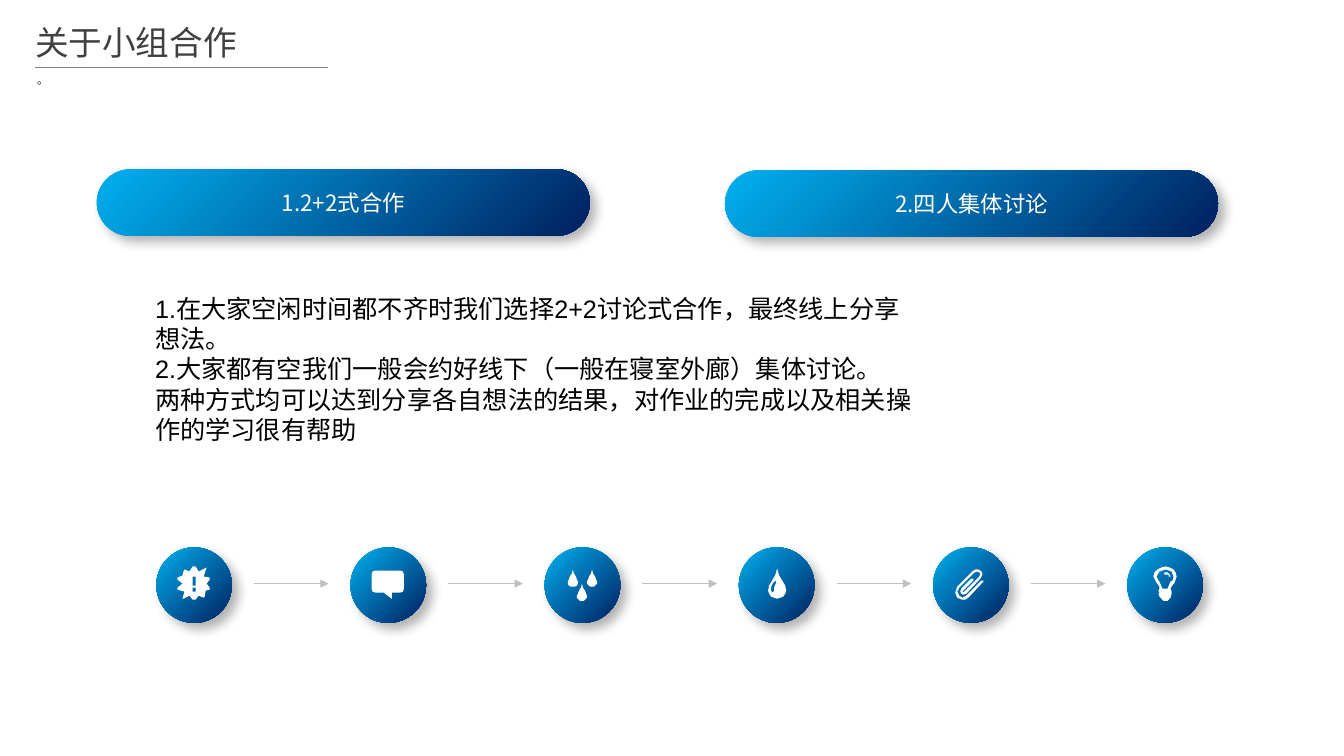
import lxml.etree
import pptx
import pptx.dml.color
import pptx.enum.shapes
import pptx.enum.text
import pptx.oxml.ns
import pptx.util

Inches, Pt = pptx.util.Inches, pptx.util.Pt
Preset = pptx.enum.shapes.MSO_SHAPE
Anchor = pptx.enum.text.MSO_ANCHOR
Align = pptx.enum.text.PP_ALIGN
qn = pptx.oxml.ns.qn

SANS = "Noto Sans CJK SC"
BODY = (
    "1.在大家空闲时间都不齐时我们选择2+2讨论式合作，最终线上分享想法。",
    "2.大家都有空我们一般会约好线下（一般在寝室外廊）集体讨论。",
    "两种方式均可以达到分享各自想法的结果，对作业的完成以及相关操作的学习很有帮助",
)


def drop(left, top, width, height):
    """Outline of a water drop with its tip at the top."""
    half = [(0.5, 0), (0.38, 0.23), (0.21, 0.4), (0.06, 0.56), (0, 0.73),
            (0.04, 0.83), (0.15, 0.92), (0.31, 0.98), (0.5, 1)]
    ring = half + [(1 - x, y) for x, y in half[-2:0:-1]]
    return [(left + x * width, top + y * height) for x, y in ring]


# Icon outlines, in hundredths of an inch from the corner of their disc
BURST = [
    [(53, 40), (50, 36), (53, 32), (53, 30), (47, 29), (50, 20), (48, 21),
     (42, 24), (39, 19), (36, 19), (33, 24), (28, 22), (27, 24), (26, 28),
     (21, 30), (21, 32), (26, 36), (21, 40), (21, 42), (28, 44), (26, 51),
     (27, 51), (33, 48), (36, 52), (39, 52), (42, 48), (47, 50), (48, 49),
     (49, 43), (53, 42)],
    [(36, 29), (36, 38), (39, 38), (39, 29)],
    [(36, 40), (36, 44), (39, 44), (39, 40)],
]
BUBBLE = [
    [(25, 23), (49, 23), (52, 24), (53, 27), (53, 41), (52, 44), (49, 45),
     (41, 45), (41, 51), (33, 45), (25, 45), (22, 44), (21, 41), (21, 27),
     (22, 24)],
]
RAIN = [drop(x, y, 10, 17) for x, y in ((23, 22), (42, 22), (32, 36))]
WATER = [
    drop(29, 21, 18, 30),
    [(37, 33), (34, 35), (32, 39), (32, 43), (33, 45), (35, 43), (35, 40),
     (37, 35)],
]
CLIP = [
    [(29, 52), (24, 50), (22, 45), (24, 39), (39, 24), (42, 22), (45, 22),
     (48, 24), (49, 27), (47, 31), (33, 46), (30, 47), (28, 46), (27, 44),
     (28, 41), (38, 31), (40, 31), (40, 33), (30, 43), (29, 45), (31, 44),
     (45, 30), (47, 27), (46, 25), (44, 24), (41, 25), (26, 40), (24, 44),
     (26, 48), (29, 50), (33, 48), (48, 33), (50, 33), (50, 34), (35, 50),
     (32, 52)],
]
BULB = [
    [(38, 19), (34, 20), (30, 22), (27, 25), (26, 29), (29, 35), (32, 39),
     (32, 41), (31, 43), (32, 45), (31, 46), (32, 49), (34, 51), (36, 53),
     (40, 53), (43, 50), (44, 46), (44, 44), (43, 41), (44, 39), (47, 35),
     (49, 29), (48, 25), (46, 22), (42, 20)],
    [(38, 22), (32, 24), (29, 29), (31, 33), (32, 34), (35, 41), (40, 41),
     (43, 34), (45, 33), (46, 29), (44, 24)],
    [(37, 25), (37, 27), (41, 27), (41, 29), (43, 29), (42, 27), (40, 25)],
]


def rgb(code):
    return pptx.dml.color.RGBColor.from_string(code)


def style(para, size, font, color):
    para.font.size = Pt(size)
    para.font.name = font
    para.font.color.rgb = rgb(color)
    props = para._p.pPr.find(qn("a:defRPr"))
    lxml.etree.SubElement(props, qn("a:ea"), typeface=SANS)


def label(slide, box, lines, size, font, color, wrap=False):
    frame = slide.shapes.add_textbox(*map(Inches, box)).text_frame
    frame.word_wrap = wrap
    frame.text = "\n".join(lines)
    for para in frame.paragraphs:
        style(para, size, font, color)


def glossy(slide, kind, box):
    """Add a shape with the blue gradient and a soft shadow."""
    shape = slide.shapes.add_shape(kind, *map(Inches, box))
    shape.line.fill.background()
    shape.fill.gradient()
    shape.fill.gradient_angle = 315
    for stop, code in zip(shape.fill.gradient_stops, ("00B0F0", "002060")):
        stop.color.rgb = rgb(code)
    shape.shadow.inherit = False
    effects = shape._element.spPr.find(qn("a:effectLst"))
    shade = lxml.etree.SubElement(
        effects, qn("a:outerShdw"), blurRad=str(Pt(8)), dist=str(Pt(6)),
        dir="2700000", algn="tl", rotWithShape="0")
    black = lxml.etree.SubElement(shade, qn("a:srgbClr"), val="000000")
    lxml.etree.SubElement(black, qn("a:alpha"), val="30000")
    return shape


def button(slide, box, text):
    shape = glossy(slide, Preset.ROUNDED_RECTANGLE, box)
    shape.adjustments[0] = 0.5
    frame = shape.text_frame
    frame.word_wrap = False
    frame.vertical_anchor = Anchor.MIDDLE
    frame.margin_left = frame.margin_right = Inches(0.02)
    frame.margin_top = frame.margin_bottom = Inches(0.02)
    frame.text = text
    frame.paragraphs[0].alignment = Align.CENTER
    style(frame.paragraphs[0], 16, SANS, "FFFFFF")


def rule(slide, left, top, width, color, weight, arrow=False):
    """Add a level line, with an arrowhead at its right end if asked."""
    line = slide.shapes.add_connector(
        pptx.enum.shapes.MSO_CONNECTOR.STRAIGHT,
        *map(Inches, (left, top, left + width, top)))
    line.line.color.rgb = rgb(color)
    line.line.width = Pt(weight)
    if arrow:
        lxml.etree.SubElement(line.line._ln, qn("a:tailEnd"), type="triangle")
    lxml.etree.SubElement(line._element.spPr, qn("a:effectLst"))


def icon(slide, left, top, rings):
    """Draw white outlines; inner rings cut holes."""
    (x, y), *rest = rings[0]
    build = slide.shapes.build_freeform(x, y, scale=Inches(0.01))
    build.add_line_segments(rest)
    for (x, y), *rest in rings[1:]:
        build.move_to(x, y)
        build.add_line_segments(rest)
    shape = build.convert_to_shape(Inches(left), Inches(top))
    shape.fill.solid()
    shape.fill.fore_color.rgb = rgb("FFFFFF")
    shape.line.fill.background()
    shape.shadow.inherit = False


def head(slide, left, top):
    label(slide, (left, top, 2.29, 0.5), ["关于小组合作"], 24, SANS, "404040")
    label(slide, (left + 0.02, top + 0.51, 0.34, 0.23), ["。"], 8, "Arial",
          "000000")
    rule(slide, left + 0.1, top + 0.5, 2.9, "808080", 0.5)


def flow(slide, left, top, width):
    """Row of discs with icons, joined by arrows."""
    icons = (BURST, BUBBLE, RAIN, WATER, CLIP, BULB)
    disc = 0.75
    step = (width - disc) / (len(icons) - 1)
    for i, rings in enumerate(icons):
        x = left + i * step
        glossy(slide, Preset.OVAL, (x, top, disc, disc))
        icon(slide, x, top, rings)
        if i < len(icons) - 1:
            rule(slide, x + 0.97, top + 0.36, 0.74, "BFBFBF", 0.25, True)


def main():
    deck = pptx.Presentation()
    deck.slide_width, deck.slide_height = Inches(13.33), Inches(7.5)
    slide = deck.slides.add_slide(deck.slide_layouts[6])
    head(slide, 0.25, 0.17)
    button(slide, (0.96, 1.68, 4.89, 0.66), "1.2+2式合作")
    button(slide, (7.19, 1.69, 4.89, 0.66), "2.四人集体讨论")
    label(slide, (1.44, 2.86, 7.72, 1.59), BODY, 18, "Arial", "000000", True)
    flow(slide, 1.55, 5.43, 10.38)
    deck.save("out.pptx")


if __name__ == "__main__":
    main()
